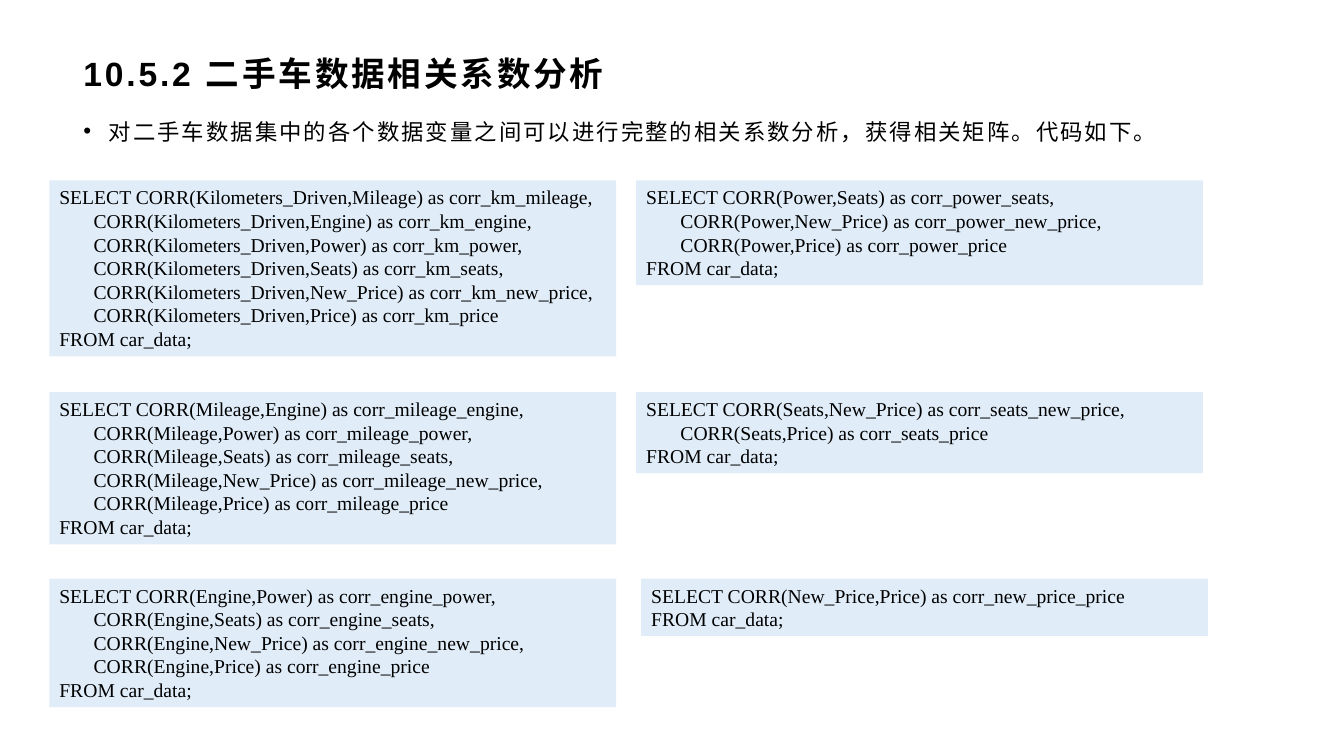
from dataclasses import dataclass

from lxml.etree import SubElement
from pptx import Presentation
from pptx.dml.color import RGBColor
from pptx.enum.shapes import MSO_SHAPE
from pptx.enum.text import MSO_ANCHOR, MSO_AUTO_SIZE, PP_ALIGN
from pptx.oxml.ns import qn
from pptx.util import Inches, Pt


@dataclass(frozen=True)
class Theme:
    ink: RGBColor = RGBColor(0, 0, 0)
    panel: RGBColor = RGBColor(0xE0, 0xED, 0xF9)
    head_font: str = "Arial"
    code_font: str = "Times New Roman"
    title_size: int = 24
    body_size: int = 16
    code_size: int = 14


THEME = Theme()
LINE_H, PAD = 0.235, 0.1
INDENT = " " * 7
COLUMNS = (0.49, 6.31)
ROWS = (1.79, 3.89, 5.74)
PANEL_W = 5.62
LAST_SHIFT = 0.05  # the last panel sits slightly to the right

# Column name in the table -> short name used in the result
VARIABLES = {
    "Kilometers_Driven": "km",
    "Mileage": "mileage",
    "Engine": "engine",
    "Power": "power",
    "Seats": "seats",
    "New_Price": "new_price",
    "Price": "price",
}


def style_run(r, size, font, bold=False, spacing=0):
    """Format a run; spacing is the letter spacing in points."""
    values = {"size": Pt(size), "name": font, "bold": bold}
    for name, value in values.items():
        setattr(r.font, name, value)
    r.font.color.rgb = THEME.ink
    if spacing:
        r.font._element.set("spc", str(int(spacing * 100)))


def add_text(s, box, text, anchor, **style):
    tf = s.shapes.add_textbox(*map(Inches, box)).text_frame
    tf.word_wrap = True
    tf.vertical_anchor = anchor
    p = tf.paragraphs[0]
    r = p.add_run()
    r.text = text
    style_run(r, font=THEME.head_font, **style)
    return p


def add_title(s, box):
    add_text(s, box, "10.5.2 二手车数据相关系数分析", MSO_ANCHOR.MIDDLE,
             size=THEME.title_size, bold=True, spacing=2)


def add_body(s, box):
    p = add_text(s, box, "对二手车数据集中的各个数据变量之间可以进行完整的相关系数分析，"
                 "获得相关矩阵。代码如下。", MSO_ANCHOR.TOP,
                 size=THEME.body_size, spacing=1.5)
    p.line_spacing = 1.3
    p.space_after = Pt(10)
    pPr = p._p.get_or_add_pPr()
    pPr.set("marL", str(Inches(0.25)))
    pPr.set("indent", str(Inches(-0.25)))
    SubElement(pPr, qn("a:buFont")).set("typeface", THEME.head_font)
    SubElement(pPr, qn("a:buChar")).set("char", "•")


def query_lines(first):
    """SQL that correlates one variable with all those after it."""
    names = list(VARIABLES)
    short = VARIABLES[first]
    terms = [f"CORR({first},{other}) as corr_{short}_{VARIABLES[other]}"
             for other in names[names.index(first) + 1:]]
    return ["SELECT " + f",\n{INDENT}".join(terms), "FROM car_data;"]


def add_query(s, left, top, first):
    lines = "\n".join(query_lines(first)).split("\n")
    box = left, top, PANEL_W, PAD + LINE_H * len(lines)
    sp = s.shapes.add_shape(MSO_SHAPE.RECTANGLE, *map(Inches, box))
    sp.shadow.inherit = False
    sp.fill.solid()
    sp.fill.fore_color.rgb = THEME.panel
    sp.line.fill.background()
    tf = sp.text_frame
    tf.word_wrap = True
    tf.auto_size = MSO_AUTO_SIZE.SHAPE_TO_FIT_TEXT
    tf.vertical_anchor = MSO_ANCHOR.TOP
    for i, line in enumerate(lines):
        p = tf.add_paragraph() if i else tf.paragraphs[0]
        p.alignment = PP_ALIGN.LEFT
        r = p.add_run()
        r.text = line
        style_run(r, THEME.code_size, THEME.code_font)


def add_queries(s):
    firsts = list(VARIABLES)[:-1]
    for i, first in enumerate(firsts):
        col, row = divmod(i, len(ROWS))
        shift = LAST_SHIFT if first == firsts[-1] else 0
        add_query(s, COLUMNS[col] + shift, ROWS[row], first)


def main():
    prs = Presentation()
    prs.slide_width, prs.slide_height = Inches(13.33), Inches(7.5)
    s = prs.slides.add_slide(prs.slide_layouts[6])
    add_title(s, (0.73, 0.48, 11.87, 0.48))
    add_body(s, (0.73, 1.04, 11.87, 5.89))
    add_queries(s)
    prs.save("out.pptx")


if __name__ == "__main__":
    main()
